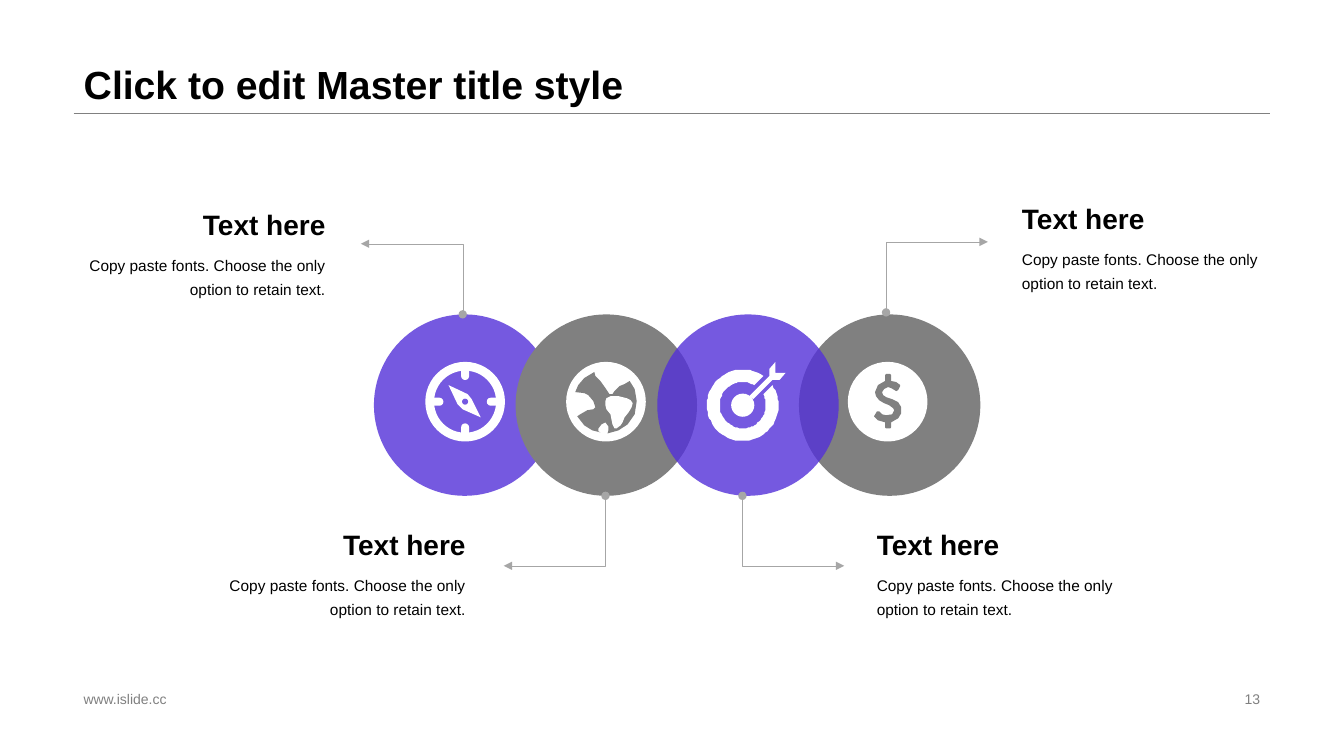
from math import cos, radians, sin

from lxml.etree import SubElement
from pptx import Presentation
from pptx.dml.color import RGBColor
from pptx.enum.shapes import MSO_CONNECTOR as Link, MSO_SHAPE as Shape
from pptx.enum.text import MSO_ANCHOR as Anchor, MSO_AUTO_SIZE as AutoSize, PP_ALIGN as Align
from pptx.oxml.ns import qn
from pptx.util import Pt

COLORS = {"violet": "5330D9", "tint": "7559E1", "gray": "808080",
          "arrow": "A6A6A6", "white": "FFFFFF", "black": "000000"}
FONT = "Arial"
UNIT = 0.72
DISC, DISC_PITCH, ICON_PITCH = 129.6, 101.2, 100.6

NEEDLE = [(42, 32), (23, 23), (32, 42), (37, 47), (55, 55), (46, 37)]
OCEAN = [(41, 71), (42.5, 68), (42, 64), (39, 60.5), (35, 62), (32, 66), (32, 69),
         (34, 70), (26, 68), (18, 63), (11, 54), (14, 52), (21, 48.5), (27, 47),
         (29, 45), (27, 39), (22, 33), (18, 31), (9, 30), (12, 23), (18, 16), (28, 10),
         (29, 14), (34, 19), (39, 26), (43, 32), (46, 32), (48, 29), (53, 24),
         (58, 22), (63, 19), (68, 27), (70.5, 39), (68, 52), (61, 62), (52, 68)]
LAND = [(60, 36), (52, 34), (44, 34), (40, 36), (39, 39), (39, 43), (40, 47), (44, 52),
        (46, 62), (48, 66), (50, 66), (54, 63), (56, 60), (58, 55), (62, 50),
        (65, 45), (66, 41), (64, 37.5)]
DART = [(68, 11), (68, 0), (62, 7), (62, 14), (42, 34), (46, 37), (65, 18), (72, 18), (78, 11)]
DOLLAR = [(50, 56), (43, 60), (43, 65), (42, 66), (38, 66), (37, 65), (37, 60), (30, 58),
          (26, 54), (29, 49), (31, 49), (34, 52), (38, 53), (44, 52), (46, 48), (45, 46),
          (41, 43), (36, 41), (31, 38), (28, 34), (27, 30), (30, 23), (37, 19), (37, 13),
          (38, 12), (42, 12), (43, 13), (43, 19), (48, 20), (52, 23), (52, 24), (50, 28),
          (48, 29), (43, 26), (40, 25), (36, 27), (34, 30), (35, 33), (38, 35), (44, 37),
          (50, 40), (53, 45), (53, 51)]


def rgb(name):
    return RGBColor.from_string(COLORS[name])


def paint(sp, color, alpha=None):
    sp.shadow.inherit = False
    sp.fill.solid()
    sp.fill.fore_color.rgb = rgb(color)
    sp.line.fill.background()
    if alpha:
        clr = sp._element.spPr.find(".//" + qn("a:srgbClr"))
        SubElement(clr, qn("a:alpha"), val=str(alpha * 1000))
    return sp


def add_preset(s, kind, x, y, w, h, color, alpha=None):
    sp = s.shapes.add_shape(kind, Pt(x), Pt(y), Pt(w), Pt(h))
    return paint(sp, color, alpha)


def add_outline(s, x, y, points, color):
    fb = s.shapes.build_freeform(*points[0], scale=float(Pt(UNIT)))
    fb.add_line_segments(points[1:], close=True)
    paint(fb.convert_to_shape(Pt(x), Pt(y)), color)


def add_round(s, x, y, cx, cy, r, color, kind=Shape.OVAL):
    d = 2 * r * UNIT
    return add_preset(s, kind, x + (cx - r) * UNIT, y + (cy - r) * UNIT, d, d, color)


def arc(cx, cy, r, start, end, steps=72):
    angles = [radians(start + (end - start) * i / steps) for i in range(steps + 1)]
    return [(cx + r * cos(a), cy + r * sin(a)) for a in angles]


def compass(s, x, y):
    ring = add_round(s, x, y, 39.5, 39.5, 39.5, "white", Shape.DONUT)
    ring.adjustments[0] = 0.11
    for left, top, w, h in [(35.5, 4, 8, 14), (35.5, 61, 8, 14), (4, 35.5, 14, 8), (61, 35.5, 14, 8)]:
        tick = add_preset(s, Shape.ROUNDED_RECTANGLE, x + left * UNIT, y + top * UNIT,
                          w * UNIT, h * UNIT, "white")
        tick.adjustments[0] = 0.5
    add_outline(s, x, y, NEEDLE, "white")
    add_round(s, x, y, 39.5, 39.5, 3, "tint")


def globe(s, x, y):
    add_round(s, x, y, 39.5, 39.5, 39.5, "white")
    add_outline(s, x, y, OCEAN, "gray")
    add_outline(s, x, y, LAND, "white")


def target(s, x, y):
    ring = arc(35.5, 43, 35.5, -34, 305) + arc(35.5, 43, 23, 300, -28)
    add_outline(s, x, y, ring, "white")
    add_round(s, x, y, 35.5, 43, 11.5, "white")
    add_outline(s, x, y, DART, "white")


def coin(s, x, y):
    add_round(s, x, y, 39.5, 39.5, 39.5, "white")
    add_outline(s, x, y, DOLLAR, "gray")


def write(sp, text, size, color="black", bold=False, align=Align.LEFT,
          anchor=Anchor.TOP, spacing=None):
    tf = sp.text_frame
    tf.word_wrap = True
    tf.auto_size = AutoSize.NONE
    tf.vertical_anchor = anchor
    p = tf.paragraphs[0]
    p.alignment = align
    p.line_spacing = spacing
    r = p.add_run()
    r.text = text
    r.font.name, r.font.size, r.font.bold = FONT, Pt(size), bold
    r.font.color.rgb = rgb(color)


def add_text(s, x, y, w, h, text, size, **style):
    write(s.shapes.add_textbox(Pt(x), Pt(y), Pt(w), Pt(h)), text, size, **style)


def add_link(s, kind, x1, y1, x2, y2, color):
    cn = s.shapes.add_connector(kind, Pt(x1), Pt(y1), Pt(x2), Pt(y2))
    cn.line.width = Pt(0.25)
    cn.line.color.rgb = rgb(color)
    SubElement(cn._element.spPr, qn("a:effectLst"))
    return cn


def add_pointer(s, x, y, dx, dy):
    cn = add_link(s, Link.ELBOW, x, y, x + dx, y + dy, "arrow")
    geom = cn._element.spPr.find(qn("a:prstGeom"))
    av = geom.find(qn("a:avLst"))
    if av is None:
        av = SubElement(geom, qn("a:avLst"))
    SubElement(av, qn("a:gd"), name="adj1", fmla="val 0")
    ln = cn.line._get_or_add_ln()
    SubElement(ln, qn("a:headEnd"), type="oval")
    SubElement(ln, qn("a:tailEnd"), type="triangle")


def add_callout(s, x, y, align):
    add_text(s, x, y, 185, 34.6, "Text here", 20, bold=True, align=align, anchor=Anchor.BOTTOM)
    add_text(s, x, y + 34.6, 185, 49.7,
             "Copy paste fonts. Choose the only option to retain text.", 11, align=align, spacing=1.3)


def add_frame(s, x, w):
    add_link(s, Link.STRAIGHT, x, 80.8, x + w, 80.8, "gray")
    title = s.shapes.title
    title.left, title.top, title.width, title.height = Pt(x), Pt(0), Pt(w), Pt(80.8)
    write(title, "Click to edit Master title style", 28, bold=True, anchor=Anchor.BOTTOM, spacing=0.9)
    add_text(s, x, 491, 326, 16.6, "www.islide.cc", 10, color="gray", anchor=Anchor.MIDDLE)
    add_text(s, x + w - 229, 491, 229, 16.6, "13", 10, color="gray",
             align=Align.RIGHT, anchor=Anchor.MIDDLE)


def add_chain(s, x, y):
    for i in (3, 0, 1, 2):
        color, alpha = ("gray", None) if i % 2 else ("violet", 80)
        add_preset(s, Shape.OVAL, x + i * DISC_PITCH, y, DISC, DISC, color, alpha)
    for px, py, dx, dy in [(365.8, -1.4, 72.7, -50.4), (63.4, 0, -72.7, -50.4),
                           (263.2, DISC, 72.7, 50), (165.4, DISC, -72.7, 50)]:
        add_pointer(s, x + px, y + py, dx, dy)
    for i, icon in enumerate((compass, globe, target, coin)):
        icon(s, x + 36.7 + i * ICON_PITCH, y + 33.9)


def main():
    prs = Presentation()
    prs.slide_width, prs.slide_height = Pt(960), Pt(540)
    s = prs.slides.add_slide(prs.slide_layouts[5])
    add_frame(s, 52.6, 854.6)
    add_chain(s, 267.1, 224.6)
    for x, y, align in [(54.7, 141.1, Align.RIGHT), (154.8, 369.4, Align.RIGHT),
                        (722.9, 136.8, Align.LEFT), (619.2, 369.4, Align.LEFT)]:
        add_callout(s, x, y, align)
    prs.save("out.pptx")


if __name__ == "__main__":
    main()
